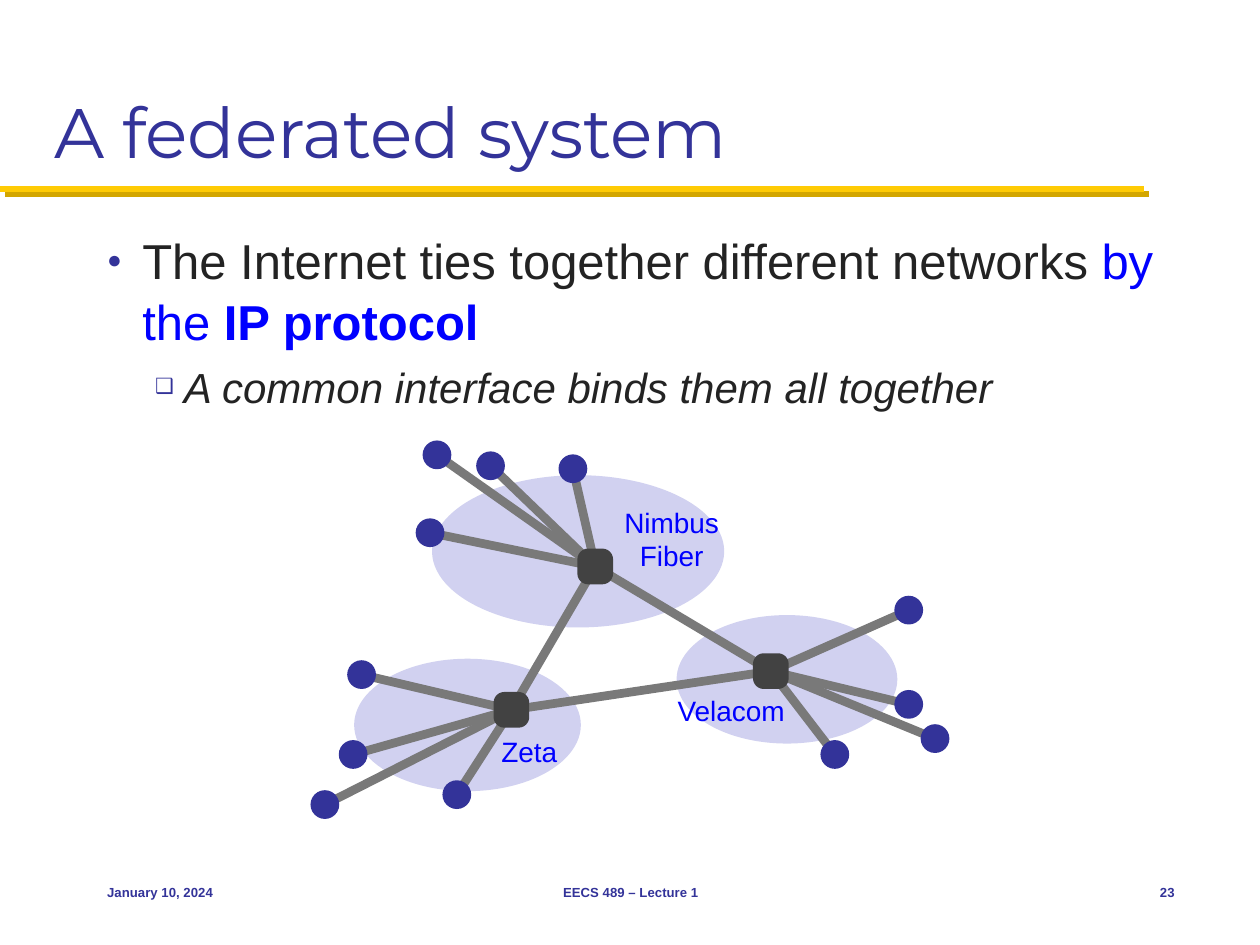
from itertools import combinations

from lxml.etree import SubElement
from pptx import Presentation
from pptx.dml.color import RGBColor
from pptx.enum.shapes import MSO_CONNECTOR as Link, MSO_SHAPE as Preset
from pptx.enum.text import MSO_ANCHOR as Anchor, PP_ALIGN as Align
from pptx.oxml.ns import qn
from pptx.util import Cm, Pt

THEME = {
    "navy": "333399", "ink": "232323", "accent": "0000FF", "cloud": "D1D1F0",
    "cable": "797979", "router": "424242", "gold": "FFCB05", "gold_shade": "D3A600",
    "heading_font": "Montserrat", "body_font": "Arial",
    "title": 40, "point": 28, "subpoint": 24, "label": 16, "footer": 7.5,
    "cable_width": 5, "rule_width": 3.5,
}
HOST_SIZE, ROUTER_SIZE = 0.58, 0.72

TITLE = "A federated system"
POINTS = [
    {"level": 0, "bullet": "●", "margin": 0.71, "hang": 0.71, "size": "point", "gap": 0,
     "parts": [("The Internet ties together different networks ", "ink", False, False),
               ("by the ", "accent", False, False),
               ("IP protocol", "accent", True, False)]},
    {"level": 1, "bullet": "❑", "margin": 1.55, "hang": 0.58, "size": "subpoint", "gap": 4.8,
     "parts": [("A common interface binds them all together", "ink", False, True)]},
]
NETWORKS = [
    {"name": "Velacom", "label": (13.23, 13.87, 3.02, 0.89),
     "cloud": (13.64, 12.4, 4.45, 2.59), "router": (15.54, 13.53),
     "hosts": [(18.32, 12.3), (18.32, 14.2), (18.85, 14.89), (16.83, 15.21)]},
    {"name": "Nimbus\nFiber", "label": (12.42, 10.08, 2.24, 1.57),
     "cloud": (8.71, 9.58, 5.89, 3.07), "router": (12, 11.42),
     "hosts": [(8.67, 10.74), (8.81, 9.17), (9.89, 9.39), (11.55, 9.45)]},
    {"name": "Zeta", "label": (9.78, 14.71, 1.78, 0.89),
     "cloud": (7.14, 13.28, 4.57, 2.67), "router": (10.31, 14.31),
     "hosts": [(7.29, 13.6), (7.12, 15.21), (6.55, 16.22), (9.21, 16.02)]},
]
FOOTERS = [
    ("January 10, 2024", (1.91, 17.35, 5.28, 1.27), Align.LEFT),
    ("EECS 489 – Lecture 1", (8.69, 17.35, 8.05, 1.27), Align.CENTER),
    ("23", (22.23, 17.35, 1.7, 1.27), Align.RIGHT),
]

deck = Presentation()
deck.slide_width, deck.slide_height = Cm(25.4), Cm(19.05)
slide = deck.slides.add_slide(deck.slide_layouts[6])


def color(key):
    return RGBColor.from_string(THEME[key])


def style(run, size, ink, font="body_font", bold=False, italic=False):
    run.font.name, run.font.size = THEME[font], Pt(THEME[size])
    run.font.color.rgb = color(ink)
    run.font.bold, run.font.italic = bold, italic


def add_frame(place, anchor, inset=(0.25, 0.13)):
    frame = slide.shapes.add_textbox(*map(Cm, place)).text_frame
    frame.word_wrap, frame.vertical_anchor = True, anchor
    frame.margin_left = frame.margin_right = Cm(inset[0])
    frame.margin_top = frame.margin_bottom = Cm(inset[1])
    return frame


def add_caption(text, place, anchor, align, inset=(0.25, 0.13), **look):
    frame = add_frame(place, anchor, inset)
    frame.text = text
    for paragraph in frame.paragraphs:
        paragraph.alignment = align
        for run in paragraph.runs:
            style(run, **look)


def add_line(start, end, ink, width):
    line = slide.shapes.add_connector(Link.STRAIGHT, *map(Cm, (*start, *end)))
    line.line.color.rgb, line.line.width = color(ink), Pt(THEME[width])
    return SubElement(line._element.spPr, qn("a:effectLst"))


def add_solid(preset, place, fill):
    solid = slide.shapes.add_shape(preset, *map(Cm, place))
    solid.shadow.inherit = False
    solid.fill.solid()
    solid.fill.fore_color.rgb = color(fill)
    solid.line.fill.background()
    return solid


def centered(center, size):
    return center[0] - size / 2, center[1] - size / 2, size, size


def add_bullet(paragraph, point):
    props = paragraph._p.get_or_add_pPr()
    props.set("marL", str(Cm(point["margin"])))
    props.set("indent", str(-Cm(point["hang"])))
    SubElement(SubElement(props, qn("a:buClr")), qn("a:srgbClr"), val=THEME["navy"])
    SubElement(props, qn("a:buSzPct"), val="50000")
    SubElement(props, qn("a:buFont"), typeface=THEME["body_font"])
    SubElement(props, qn("a:buChar"), char=point["bullet"])


rule_effects = add_line((0, 3.81), (23.06, 3.81), "gold", "rule_width")
rule_shadow = SubElement(rule_effects, qn("a:outerShdw"), dist=str(Pt(4.2)),
                         dir="2700000", algn="ctr", rotWithShape="0")
SubElement(rule_shadow, qn("a:srgbClr"), val=THEME["gold_shade"])

add_caption(TITLE, (0.84, 0.43, 23.7, 3.18), Anchor.BOTTOM, Align.LEFT,
            size="title", ink="navy", font="heading_font")

body = add_frame((1.91, 4.45, 22.02, 12.27), Anchor.TOP)
for index, point in enumerate(POINTS):
    paragraph = body.add_paragraph() if index else body.paragraphs[0]
    add_bullet(paragraph, point)
    paragraph.level, paragraph.line_spacing = point["level"], 1.05
    paragraph.space_before = Pt(point["gap"])
    for text, ink, bold, italic in point["parts"]:
        run = paragraph.add_run()
        run.text = text
        style(run, point["size"], ink, bold=bold, italic=italic)

for network in NETWORKS:
    add_solid(Preset.OVAL, network["cloud"], "cloud")
for network in NETWORKS:
    for host in network["hosts"]:
        add_line(host, network["router"], "cable", "cable_width")
        add_solid(Preset.OVAL, centered(host, HOST_SIZE), "navy")
for near, far in combinations(NETWORKS, 2):
    add_line(near["router"], far["router"], "cable", "cable_width")
for network in NETWORKS:
    router = add_solid(Preset.ROUNDED_RECTANGLE, centered(network["router"], ROUTER_SIZE), "router")
    router.adjustments[0] = 0.3
    add_caption(network["name"], network["label"], Anchor.MIDDLE, Align.CENTER,
                inset=(0.1, 0.1), size="label", ink="accent")

for text, place, align in FOOTERS:
    add_caption(text, place, Anchor.MIDDLE, align, size="footer", ink="navy", bold=True)

deck.save("out.pptx")
